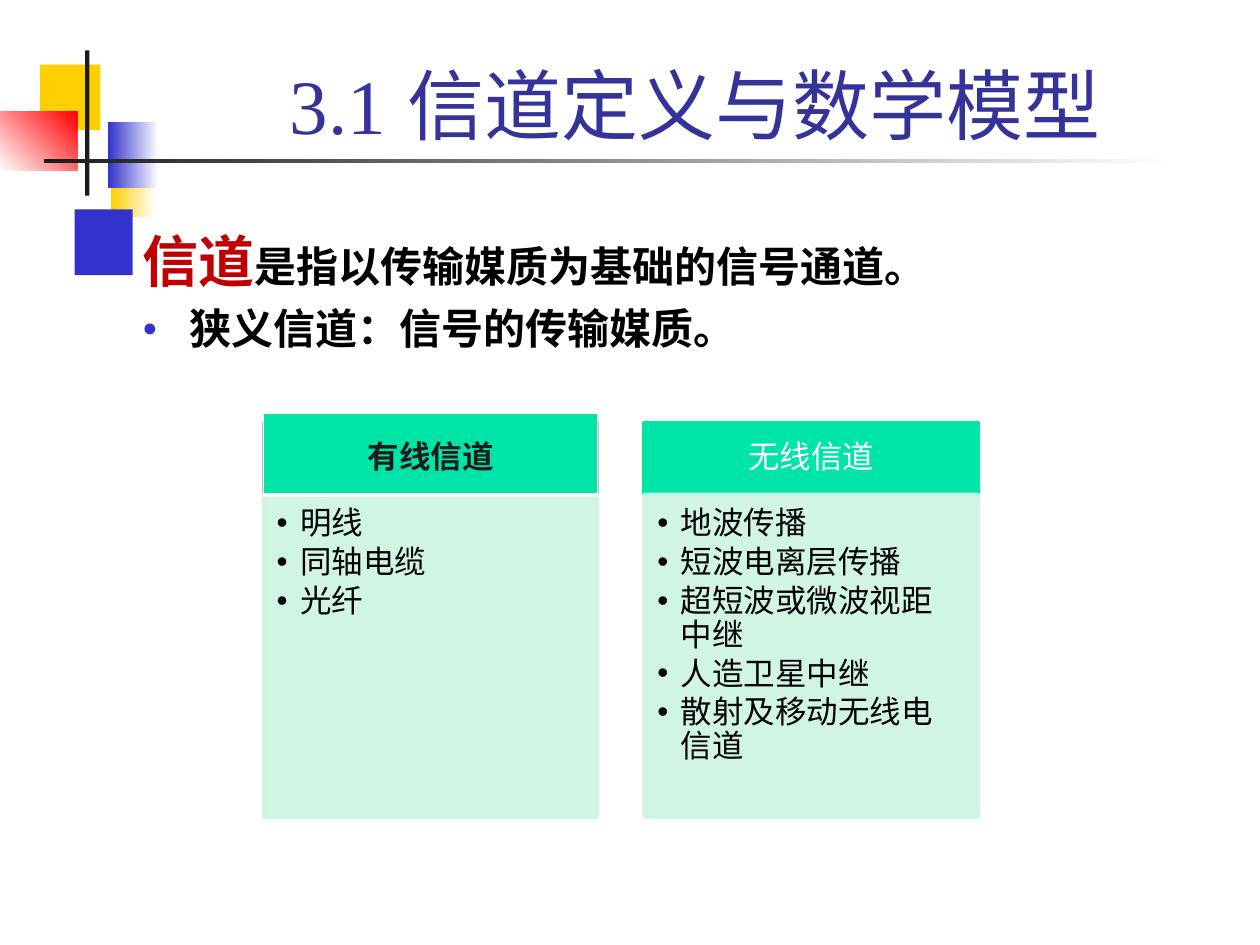
from dataclasses import dataclass

from lxml.etree import SubElement
from pptx import Presentation
from pptx.dml.color import RGBColor
from pptx.enum.shapes import MSO_SHAPE
from pptx.enum.text import MSO_ANCHOR, MSO_AUTO_SIZE, PP_ALIGN
from pptx.oxml.ns import qn
from pptx.util import Pt


@dataclass(frozen=True)
class Theme:
    serif: str = "Times New Roman"
    sans: str = "Arial"
    title_size: int = 44
    term_size: int = 32
    body_size: int = 24
    card_size: int = 18
    title: str = "333399"
    term: str = "C00000"
    text: str = "000000"
    white: str = "FFFFFF"
    dark: str = "1C1C1C"
    blue: str = "3333CC"
    yellow: str = "FFCF01"
    red: str = "FF0000"
    green: str = "00E4A8"
    mint: str = "CCF5E1"
    grey: str = "BDBDBD"


THEME = Theme()

TITLE = [("3.1", THEME.serif), (" 信道定义与数学模型", THEME.sans)]
DEFINITION = [
    ("信道", THEME.term_size, THEME.term),
    ("是指以传输媒质为基础的信号通道。", THEME.body_size, THEME.text),
]
NARROW_SENSE = "狭义信道：信号的传输媒质。"
WIRED = "有线信道"
WIRED_MEDIA = ["明线", "同轴电缆", "光纤"]
WIRELESS = "无线信道"
WIRELESS_MEDIA = ["地波传播", "短波电离层传播", "超短波或微波视距中继",
                  "人造卫星中继", "散射及移动无线电信道"]

# left, top, width, height, colours (two make a gradient), gradient angle
ORNAMENTS = [
    (63.4, 86.4, 26, 37.5, (THEME.yellow, THEME.white), 0),
    (42.6, 119.7, 33.2, 37.5, (THEME.blue,), 0),
    (22.8, 36.9, 34.6, 37.4, (THEME.yellow,), 0),
    (61.8, 70, 29, 37.4, (THEME.blue, THEME.white), 0),
    (0, 64, 44.3, 33.5, (THEME.white, THEME.red), 45),
    (48.7, 28.8, 2.4, 83, (THEME.dark,), 0),
    (25.2, 90.8, 648, 2.3, (THEME.dark, THEME.white), 0),
]

CARD_LEFT, CARD_TOP, CARD_WIDTH, CARD_PITCH = 150.6, 241.8, 190.8, 217.5
HEADER_HEIGHT, MEDIA_HEIGHT = 40.7, 184.5
TABLE_TOP, TABLE_HEIGHT = 236.3, 46.6


def rgb(colour):
    return RGBColor.from_string(colour)


def set_font(font, size=None, colour=None, bold=None, name=THEME.serif):
    font.name = name
    font.bold = bold
    if size:
        font.size = Pt(size)
    if colour:
        font.color.rgb = rgb(colour)


def set_insets(frame, left, top, right, bottom):
    frame.margin_left, frame.margin_top = Pt(left), Pt(top)
    frame.margin_right, frame.margin_bottom = Pt(right), Pt(bottom)


def set_bullet(paragraph, char=None, indent=0, colour=None, percent=100):
    """Give the paragraph a hanging bullet, or none when char is missing."""
    properties = paragraph._p.get_or_add_pPr()
    properties.set("marL", str(Pt(indent)))
    properties.set("indent", str(-Pt(indent)))
    if char is None:
        SubElement(properties, qn("a:buNone"))
        return
    if colour:
        SubElement(SubElement(properties, qn("a:buClr")), qn("a:srgbClr"), val=colour)
    SubElement(properties, qn("a:buSzPct"), val=str(percent * 1000))
    SubElement(properties, qn("a:buFont"), typeface=THEME.sans)
    SubElement(properties, qn("a:buChar"), char=char)


def place(shape, left, top, width, height):
    shape.left, shape.top = Pt(left), Pt(top)
    shape.width, shape.height = Pt(width), Pt(height)


def add_rect(slide, left, top, width, height, colours, angle=0, outline=None):
    rect = slide.shapes.add_shape(MSO_SHAPE.RECTANGLE, Pt(left), Pt(top),
                                  Pt(width), Pt(height))
    rect.shadow.inherit = False
    if len(colours) == 1:
        rect.fill.solid()
        rect.fill.fore_color.rgb = rgb(colours[0])
    else:
        rect.fill.gradient()
        rect.fill.gradient_angle = angle
        for stop, colour in zip(rect.fill.gradient_stops, colours):
            stop.color.rgb = rgb(colour)
    if outline:
        rect.line.color.rgb = rgb(outline)
        rect.line.width = Pt(2)
    else:
        rect.line.fill.background()
    return rect


def add_header(slide, left, colour, outline, label=None):
    header = add_rect(slide, left, CARD_TOP, CARD_WIDTH, HEADER_HEIGHT,
                      (colour,), outline=outline)
    if label:
        frame = header.text_frame
        frame.vertical_anchor = MSO_ANCHOR.MIDDLE
        set_insets(frame, 10, 5.8, 10, 5.8)
        paragraph = frame.paragraphs[0]
        paragraph.text = label
        paragraph.alignment = PP_ALIGN.CENTER
        paragraph.line_spacing = 0.9
        set_font(paragraph.font, THEME.card_size, THEME.white)


def add_media(slide, left, media):
    panel = add_rect(slide, left, CARD_TOP + HEADER_HEIGHT, CARD_WIDTH, MEDIA_HEIGHT,
                     (THEME.mint,), outline=THEME.mint)
    for colour in panel._element.spPr.iter(qn("a:srgbClr")):
        SubElement(colour, qn("a:alpha"), val="90000")
    frame = panel.text_frame
    frame.vertical_anchor = MSO_ANCHOR.TOP
    set_insets(frame, 7.5, 7.5, 10, 11.3)
    for index, medium in enumerate(media):
        paragraph = frame.add_paragraph() if index else frame.paragraphs[0]
        paragraph.text = medium
        set_bullet(paragraph, "•", 13.5)
        paragraph.alignment = PP_ALIGN.LEFT
        paragraph.line_spacing = 0.9
        paragraph.space_after = Pt(0.15 * THEME.card_size)
        set_font(paragraph.font, THEME.card_size, THEME.text)


def add_wired_table(slide):
    table = slide.shapes.add_table(1, 1, Pt(CARD_LEFT), Pt(TABLE_TOP),
                                   Pt(CARD_WIDTH), Pt(TABLE_HEIGHT)).table
    cell = table.cell(0, 0)
    cell.text = WIRED
    cell.vertical_anchor = MSO_ANCHOR.MIDDLE
    paragraph = cell.text_frame.paragraphs[0]
    paragraph.alignment = PP_ALIGN.CENTER
    set_font(paragraph.runs[0].font, THEME.card_size, THEME.dark, True)
    properties = cell._tc.get_or_add_tcPr()
    for side, width in (("L", 1), ("R", 1), ("T", 1), ("B", 3)):
        border = SubElement(properties, qn(f"a:ln{side}"), w=str(Pt(width)))
        SubElement(SubElement(border, qn("a:solidFill")), qn("a:srgbClr"), val=THEME.white)
    cell.fill.solid()
    cell.fill.fore_color.rgb = rgb(THEME.green)


def fill_title(title):
    place(title, 90.7, 16.6, 613.4, 72.7)
    title.text_frame.auto_size = MSO_AUTO_SIZE.NONE
    title.text_frame.vertical_anchor = MSO_ANCHOR.BOTTOM
    paragraph = title.text_frame.paragraphs[0]
    paragraph.alignment = PP_ALIGN.CENTER
    for text, name in TITLE:
        run = paragraph.add_run()
        run.text = text
        set_font(run.font, THEME.title_size, THEME.title, name=name)


def fill_body(body):
    place(body, 74.2, 126, 607.7, 79.2)
    frame = body.text_frame
    frame.auto_size = MSO_AUTO_SIZE.NONE
    definition, narrow = frame.paragraphs[0], frame.add_paragraph()
    set_bullet(definition)
    for text, size, colour in DEFINITION:
        run = definition.add_run()
        run.text = text
        set_font(run.font, size, colour, True)
    narrow.text = NARROW_SENSE
    set_bullet(narrow, "●", 27, THEME.blue, 60)
    set_font(narrow.font, THEME.body_size, THEME.text, True)


def main():
    deck = Presentation()
    deck.slide_width, deck.slide_height = Pt(720), Pt(540)
    slide = deck.slides.add_slide(deck.slide_layouts[1])
    for ornament in ORNAMENTS:
        add_rect(slide, *ornament)
    fill_title(slide.shapes.title)
    fill_body(slide.placeholders[1])
    wireless_left = CARD_LEFT + CARD_PITCH
    add_header(slide, CARD_LEFT, THEME.white, THEME.grey)
    add_media(slide, CARD_LEFT, WIRED_MEDIA)
    add_header(slide, wireless_left, THEME.green, THEME.green, WIRELESS)
    add_media(slide, wireless_left, WIRELESS_MEDIA)
    add_wired_table(slide)
    deck.save("out.pptx")


if __name__ == "__main__":
    main()
